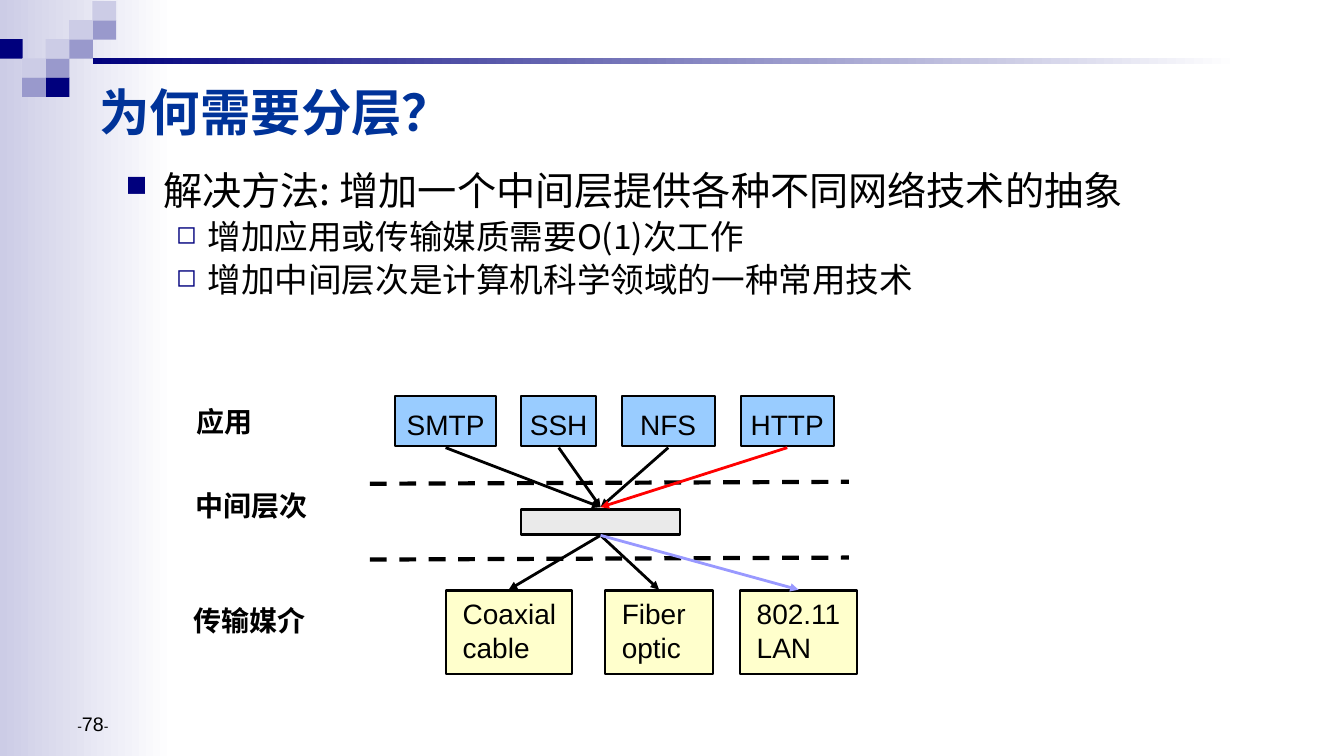
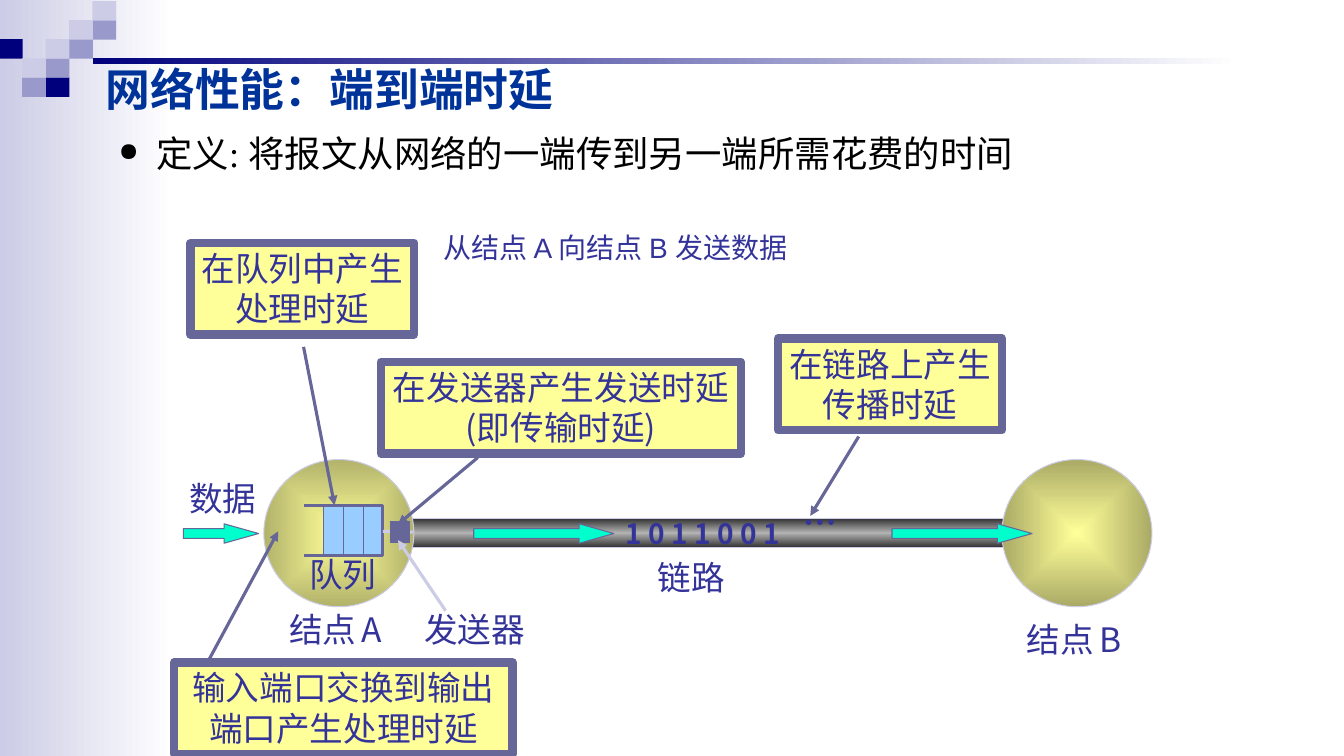
from dataclasses import dataclass
from typing import NamedTuple, Optional, Sequence

from lxml import etree
from pptx import Presentation
from pptx.dml.color import RGBColor
from pptx.enum.dml import MSO_LINE
from pptx.enum.shapes import MSO_CONNECTOR, MSO_SHAPE
from pptx.enum.text import MSO_ANCHOR, PP_ALIGN
from pptx.oxml import parse_xml
from pptx.oxml.ns import qn
from pptx.util import Cm, Pt

RECT, OVAL, RIGHT_ARROW = MSO_SHAPE.RECTANGLE, MSO_SHAPE.OVAL, MSO_SHAPE.RIGHT_ARROW
STRAIGHT = MSO_CONNECTOR.STRAIGHT
DASH = MSO_LINE.DASH
TOP, MIDDLE, BOTTOM = MSO_ANCHOR.TOP, MSO_ANCHOR.MIDDLE, MSO_ANCHOR.BOTTOM
LEFT, CENTER = PP_ALIGN.LEFT, PP_ALIGN.CENTER

BLACK = RGBColor(0x00, 0x00, 0x00)
WHITE = RGBColor(0xFF, 0xFF, 0xFF)
NAVY = RGBColor(0x00, 0x00, 0x7D)
LAVENDER = RGBColor(0x99, 0x99, 0xCC)
PALE = RGBColor(0xCC, 0xCC, 0xE6)
TITLE_BLUE = RGBColor(0x00, 0x33, 0x99)
INDIGO = RGBColor(0x33, 0x33, 0x99)
SLATE = RGBColor(0x66, 0x66, 0x99)
SKY = RGBColor(0x99, 0xCC, 0xFF)
CREAM = RGBColor(0xFF, 0xFF, 0xCC)
YELLOW = RGBColor(0xFF, 0xFF, 0x99)
OLIVE_A = RGBColor(0xB2, 0xB2, 0x6B)
OLIVE_B = RGBColor(0xAA, 0xAA, 0x66)
SILVER = RGBColor(0xEA, 0xEA, 0xEA)
STEEL = RGBColor(0xB2, 0xB2, 0xB2)
CHARCOAL = RGBColor(0x31, 0x31, 0x31)
RED = RGBColor(0xFF, 0x00, 0x00)
VIOLET = RGBColor(0x99, 0x99, 0xFF)
AQUA = RGBColor(0x00, 0xFF, 0xCC)

ARIAL, NOTO, TIMES = "Arial", "Noto Sans CJK SC", "Times New Roman"
MAIN_NS = 'xmlns:a="http://schemas.openxmlformats.org/drawingml/2006/main"'
MOSAIC = {
    NAVY: [(0, 2), (2, 4)],
    LAVENDER: [(1, 4), (2, 3), (3, 2), (4, 1)],
    PALE: [(1, 3), (2, 2), (3, 1), (4, 0)],
}


class Box(NamedTuple):
    left: float
    top: float
    width: float
    height: float

    @property
    def center(self) -> float:
        return self.left + self.width / 2


class Point(NamedTuple):
    x: float
    y: float


class Border(NamedTuple):
    color: RGBColor
    width: float


@dataclass(frozen=True)
class Style:
    size: float
    color: RGBColor
    font: str
    bold: bool = False
    pitch: Optional[float] = None
    align: int = LEFT


@dataclass(frozen=True)
class Bullet:
    text: str
    style: Style
    mark: str
    color: RGBColor
    percent: int
    margin: float
    hanging: float
    before: float = 0


@dataclass(frozen=True)
class Node:
    lines: tuple
    box: Box
    arrow: RGBColor = BLACK


@dataclass(frozen=True)
class Callout:
    lines: tuple
    box: Box
    start: Point
    end: Point
    wrap: bool = False


TITLE_LARGE = Style(36, TITLE_BLUE, TIMES, True)
TITLE_SMALL = Style(32, TITLE_BLUE, TIMES, True)
APP_STYLE = Style(20, BLACK, ARIAL, align=CENTER)
MEDIA_STYLE = Style(20, BLACK, ARIAL)
LAYER_STYLE = Style(20, BLACK, ARIAL, True, 24)
LABEL_STYLE = Style(24, INDIGO, NOTO, pitch=28.8)
CALLOUT_STYLE = Style(24, INDIGO, NOTO, pitch=28.8, align=CENTER)
CAPTION_STYLE = Style(20, INDIGO, ARIAL, pitch=24)
BITS_STYLE = Style(20, INDIGO, NOTO, True, 24)
DOTS_STYLE = Style(24, INDIGO, NOTO, True, 28.8)
NUMBER_STYLE = Style(10, BLACK, ARIAL)
POINT_STYLE = Style(28, BLACK, NOTO, pitch=30.2)
SUBPOINT_STYLE = Style(24, BLACK, NOTO, pitch=25.9)
DEFINITION_STYLE = Style(26, BLACK, TIMES, pitch=25)


def add_run(paragraph, text: str, style: Style, size: Optional[float] = None) -> None:
    run = paragraph.add_run()
    run.text = text
    run.font.size = Pt(size or style.size)
    run.font.bold = style.bold
    run.font.color.rgb = style.color
    run.font.name = style.font
    etree.SubElement(run._r.get_or_add_rPr(), qn("a:ea")).set("typeface", NOTO)


def write(frame, lines: Sequence, style: Style, wrap: bool = False, anchor=TOP) -> None:
    frame.word_wrap = wrap
    frame.vertical_anchor = anchor
    for index, line in enumerate(lines):
        paragraph = frame.add_paragraph() if index else frame.paragraphs[0]
        paragraph.alignment = style.align
        if style.pitch:
            paragraph.line_spacing = Pt(style.pitch)
        for text, size in [(line, None)] if isinstance(line, str) else line:
            add_run(paragraph, text, style, size)


def add_text(slide, box: Box, lines: Sequence, style: Style, wrap: bool = False, anchor=TOP) -> None:
    write(slide.shapes.add_textbox(*map(Cm, box)).text_frame, lines, style, wrap, anchor)


def add_bullets(slide, box: Box, bullets: Sequence[Bullet]) -> None:
    frame = slide.shapes.add_textbox(*map(Cm, box)).text_frame
    frame.word_wrap = True
    for index, bullet in enumerate(bullets):
        paragraph = frame.add_paragraph() if index else frame.paragraphs[0]
        props = paragraph._p.get_or_add_pPr()
        props.set("marL", str(Cm(bullet.margin)))
        props.set("indent", str(-Cm(bullet.hanging)))
        color = etree.SubElement(props, qn("a:buClr"))
        etree.SubElement(color, qn("a:srgbClr")).set("val", str(bullet.color))
        etree.SubElement(props, qn("a:buSzPct")).set("val", str(bullet.percent * 1000))
        etree.SubElement(props, qn("a:buChar")).set("char", bullet.mark)
        paragraph.line_spacing = Pt(bullet.style.pitch)
        paragraph.space_before = Pt(bullet.before)
        add_run(paragraph, bullet.text, bullet.style)


def add_figure(slide, kind, box: Box, fill: Optional[RGBColor] = None, border: Optional[Border] = None):
    shape = slide.shapes.add_shape(kind, *map(Cm, box))
    shape.shadow.inherit = False
    if fill is not None:
        shape.fill.solid()
        shape.fill.fore_color.rgb = fill
    outline(shape, border)
    return shape


def outline(shape, border: Optional[Border]) -> None:
    if border is None:
        shape.line.fill.background()
    else:
        shape.line.color.rgb = border.color
        shape.line.width = Pt(border.width)


def set_gradient(shape, colors: Sequence[RGBColor], angle: int = 0, radial: bool = False) -> None:
    step = 100000 // (len(colors) - 1)
    stops = "".join(
        f'<a:gs pos="{i * step}"><a:srgbClr val="{color}"/></a:gs>' for i, color in enumerate(colors)
    )
    direction = f'<a:lin ang="{angle * 60000}" scaled="0"/>'
    if radial:
        direction = '<a:path path="shape"><a:fillToRect l="50000" t="50000" r="50000" b="50000"/></a:path>'
    shape.fill.gradient()
    current = shape._element.spPr.find(qn("a:gradFill"))
    gradient = parse_xml(f"<a:gradFill {MAIN_NS}><a:gsLst>{stops}</a:gsLst>{direction}</a:gradFill>")
    current.getparent().replace(current, gradient)


def add_line(slide, start: Point, end: Point, border: Border, arrow: bool = False, dash=None) -> None:
    line = slide.shapes.add_connector(STRAIGHT, *map(Cm, (*start, *end)))
    outline(line, border)
    if dash is not None:
        line.line.dash_style = dash
    if arrow:
        etree.SubElement(line.line._get_or_add_ln(), qn("a:tailEnd")).set("type", "triangle")
    etree.SubElement(line._element.spPr, qn("a:effectLst"))


def start_slide(prs, title: str, title_box: Box, title_style: Style):
    slide = prs.slides.add_slide(prs.slide_layouts[6])
    set_gradient(add_figure(slide, RECT, Box(0, 0, 4.39, 19.05)), [PALE, WHITE])
    for color, cells in MOSAIC.items():
        for column, row in cells:
            add_figure(slide, RECT, Box(-0.03 + 0.59 * column, 0.03 + 0.48 * row, 0.6, 0.49), color)
    set_gradient(add_figure(slide, RECT, Box(2.34, 1.47, 28.88, 0.15)), [NAVY, WHITE])
    add_text(slide, title_box, [title], title_style, True, MIDDLE)
    return slide


def build_layering(prs) -> None:
    slide = start_slide(prs, "为何需要分层？", Box(2.26, 1.9, 23.19, 1.8), TITLE_LARGE)
    add_bullets(slide, Box(2.92, 4.19, 25.81, 4.95), [
        Bullet("解决方法: 增加一个中间层提供各种不同网络技术的抽象", POINT_STYLE, "■", NAVY, 75, 0.95, 0.95),
        Bullet("增加应用或传输媒质需要O(1)次工作", SUBPOINT_STYLE, "◻", NAVY, 75, 2.06, 0.79, 4.8),
        Bullet("增加中间层次是计算机科学领域的一种常用技术", SUBPOINT_STYLE, "◻", NAVY, 75, 2.06, 0.79, 4.8),
    ])
    for name, left, top in (("应用", 4.7, 10.08), ("中间层次", 4.67, 12.19), ("传输媒介", 4.62, 15.09)):
        add_text(slide, Box(left, top, 3.35, 1.12), [name], LAYER_STYLE)

    apps = [
        Node(("SMTP",), Box(9.96, 9.98, 2.54, 1.27)),
        Node(("SSH",), Box(13.13, 9.98, 1.9, 1.27)),
        Node(("NFS",), Box(15.67, 9.98, 2.34, 1.27)),
        Node(("HTTP",), Box(18.67, 9.98, 2.34, 1.27), RED),
    ]
    media = [
        Node(("Coaxial", "cable"), Box(11.23, 14.88, 3.18, 2.11)),
        Node(("Fiber", "optic"), Box(15.24, 14.88, 2.74, 2.11)),
        Node(("802.11", "LAN"), Box(18.64, 14.88, 2.97, 2.11), VIOLET),
    ]
    for nodes, fill, style, side, inset_top in (
        (apps, SKY, APP_STYLE, 0, 0.28),
        (media, CREAM, MEDIA_STYLE, 0.43, 0.16),
    ):
        for node in nodes:
            frame = add_figure(slide, RECT, node.box, fill, Border(BLACK, 1.5)).text_frame
            frame.margin_left = frame.margin_right = Cm(side)
            frame.margin_top, frame.margin_bottom = Cm(inset_top), Cm(0)
            write(frame, node.lines, style)

    for y in (12.19, 14.1):
        add_line(slide, Point(9.32, y), Point(21.39, y - 0.05), Border(BLACK, 3), dash=DASH)
    hub = Box(13.13, 12.83, 4.01, 0.64)
    add_figure(slide, RECT, hub, SILVER, Border(BLACK, 2))
    for app in apps:
        add_line(slide, Point(app.box.center, 11.28), Point(hub.center, 12.78), Border(app.arrow, 2), True)
    for medium in media:
        add_line(slide, Point(hub.center, 13.49), Point(medium.box.center, 14.86), Border(medium.arrow, 2), True)
    add_text(slide, Box(1.7, 17.35, 7.9, 1.32), [[("-", 10), ("78", 14), ("-", 10)]], NUMBER_STYLE, True, BOTTOM)


def build_delay(prs) -> None:
    slide = start_slide(prs, "网络性能：端到端时延", Box(2.41, 1.24, 19.28, 1.98), TITLE_SMALL)
    thin, medium = Border(SLATE, 0.75), Border(SLATE, 2.25)
    pale_edge = Border(PALE, 0.75)
    link = add_figure(slide, RECT, Box(10.16, 13.06, 15.34, 0.74), border=pale_edge)
    set_gradient(link, [CHARCOAL, STEEL, CHARCOAL], 90)
    for left, edge in ((6.65, OLIVE_A), (25.25, OLIVE_B)):
        node = add_figure(slide, OVAL, Box(left, 11.58, 3.78, 3.71), border=pale_edge)
        set_gradient(node, [YELLOW, edge], radial=True)

    queue = Box(8.15, 12.73, 1.5, 1.27)
    right, bottom = queue.left + queue.width, queue.top + queue.height
    add_figure(slide, RECT, queue, SKY, thin)
    builder = slide.shapes.build_freeform(Cm(7.65), Cm(queue.top))
    rail = [(right, queue.top), (right, bottom), (7.65, bottom)]
    builder.add_line_segments([(Cm(x), Cm(y)) for x, y in rail], close=False)
    rails = builder.convert_to_shape()
    rails.shadow.inherit = False
    rails.fill.background()
    outline(rails, medium)
    for slot in range(3):
        x = queue.left + slot * queue.width / 3
        add_line(slide, Point(x, queue.top), Point(x, bottom), thin)
    add_line(slide, Point(9.65, 13.39), Point(10.41, 13.41), Border(PALE, 2.25))
    add_figure(slide, RECT, Box(9.83, 13.13, 0.48, 0.53), SLATE, thin)

    for left, width in ((11.94, 3.53), (4.62, 1.9), (22.48, 3.53)):
        flow = add_figure(slide, RIGHT_ARROW, Box(left, 13.2, width, 0.49), AQUA, thin)
        flow.adjustments[0], flow.adjustments[1] = 0.5, 1.78

    add_text(slide, Box(15.52, 12.9, 4.95, 1.12), ["1 0 1 1 0 0 1"], BITS_STYLE)
    add_text(slide, Box(19.99, 12.52, 1.35, 1.27), ["…"], DOTS_STYLE)
    for words, left, top, width in (
        ("发送器", 10.44, 15.21, 3.05),
        ("队列", 7.54, 13.84, 2.21),
        ("数据", 4.52, 11.91, 2.21),
        ("链路", 16.33, 13.92, 2.21),
        ([("结点", 24), (" ", 16), ("B", 24)], 25.63, 15.47, 3.05),
        ([("结点", 24), (" ", 16), ("A", 24)], 7.04, 15.21, 3),
    ):
        add_text(slide, Box(left, top, width, 1.27), [words], LABEL_STYLE)
    add_text(slide, Box(10.92, 5.69, 9.3, 1.12), ["从结点 A 向结点 B 发送数据"], CAPTION_STYLE, True)

    add_line(slide, Point(11.23, 15.39), Point(10.03, 13.61), Border(PALE, 2.25), True)
    for callout in (
        Callout(("在链路上产生", "传播时延"), Box(19.61, 8.53, 5.64, 2.31), Point(21.64, 11), Point(20.42, 13)),
        Callout(("在发送器产生发送时延", "(即传输时延)"), Box(9.6, 9.12, 9.07, 2.31),
                Point(12.04, 11.53), Point(10.03, 13.21)),
        Callout(("在队列中产生", "处理时延"), Box(4.8, 6.12, 5.64, 2.31), Point(7.65, 8.74), Point(8.43, 12.73)),
        Callout(("输入端口交换到输出端口产生处理时延",), Box(4.39, 16.69, 8.53, 2.31),
                Point(5.23, 16.69), Point(7.01, 13.39), True),
    ):
        panel = add_figure(slide, RECT, callout.box, YELLOW, Border(SLATE, 6))
        write(panel.text_frame, callout.lines, CALLOUT_STYLE, callout.wrap)
        add_line(slide, callout.start, callout.end, medium, True)
    add_bullets(slide, Box(2.74, 3.4, 25.65, 2.21), [
        Bullet("定义: 将报文从网络的一端传到另一端所需花费的时间", DEFINITION_STYLE, "●", BLACK, 70, 0.95, 0.95),
    ])


def main() -> None:
    prs = Presentation()
    prs.slide_width, prs.slide_height = Cm(33.87), Cm(19.05)
    build_layering(prs)
    build_delay(prs)
    prs.save("out.pptx")


if __name__ == "__main__":
    main()
